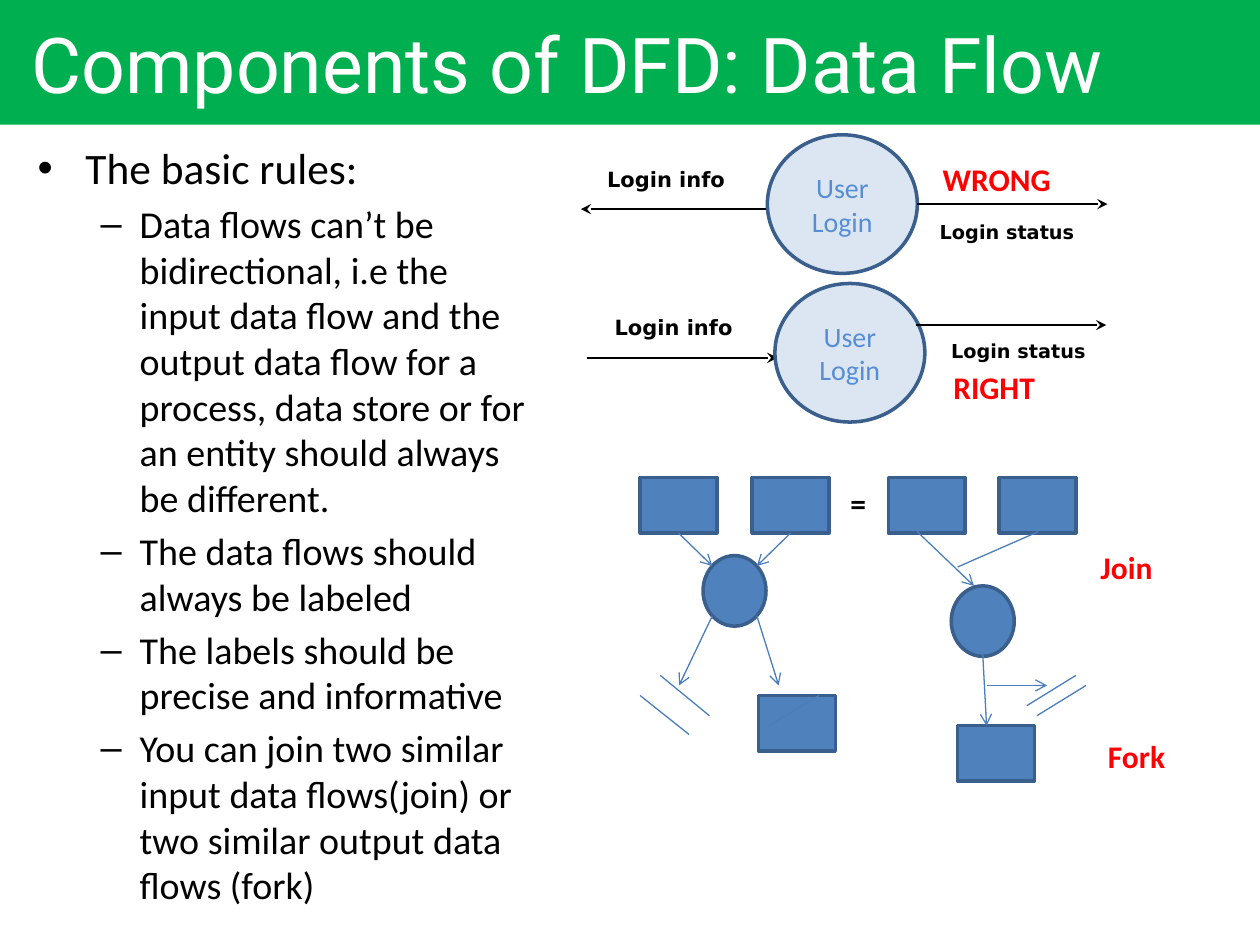
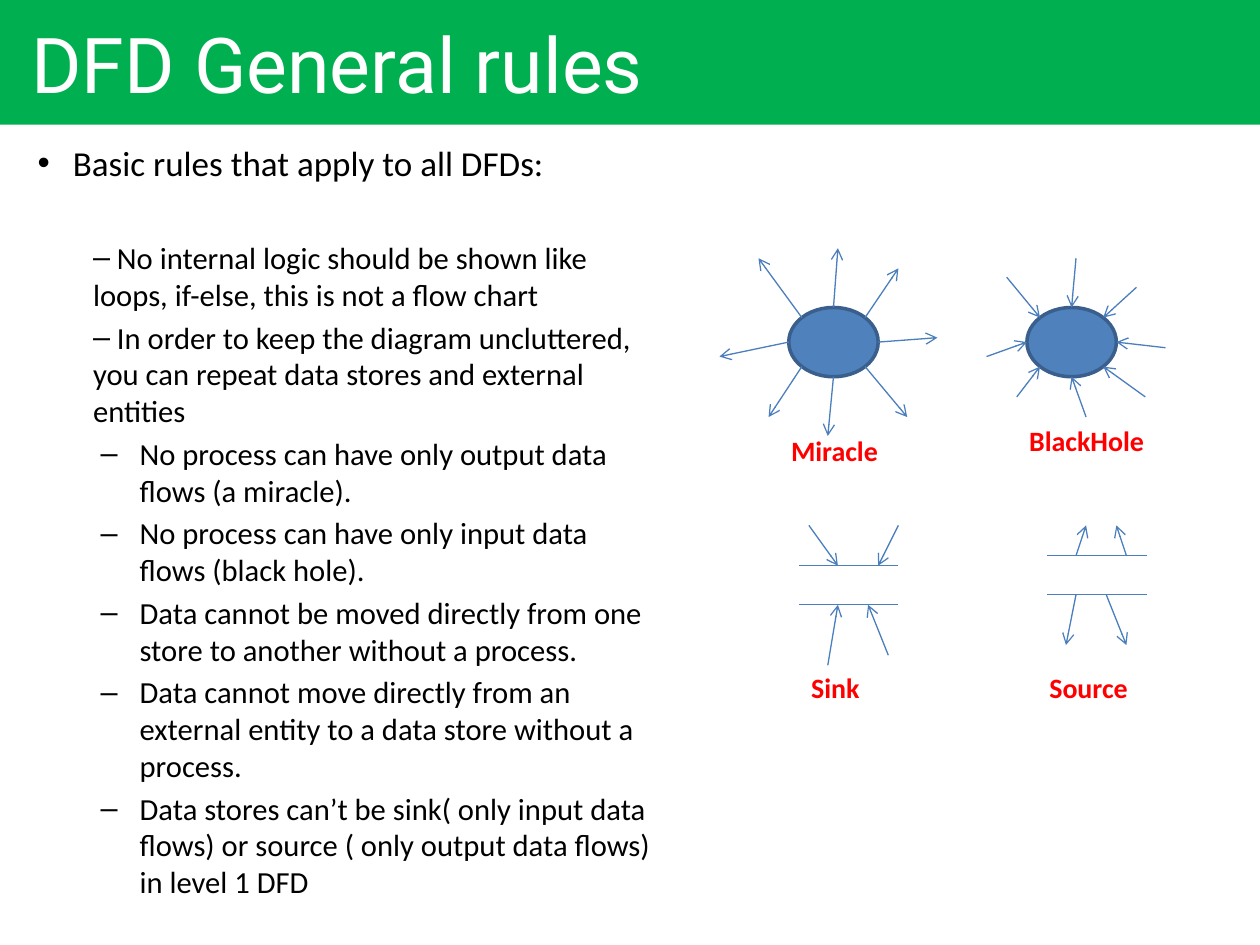
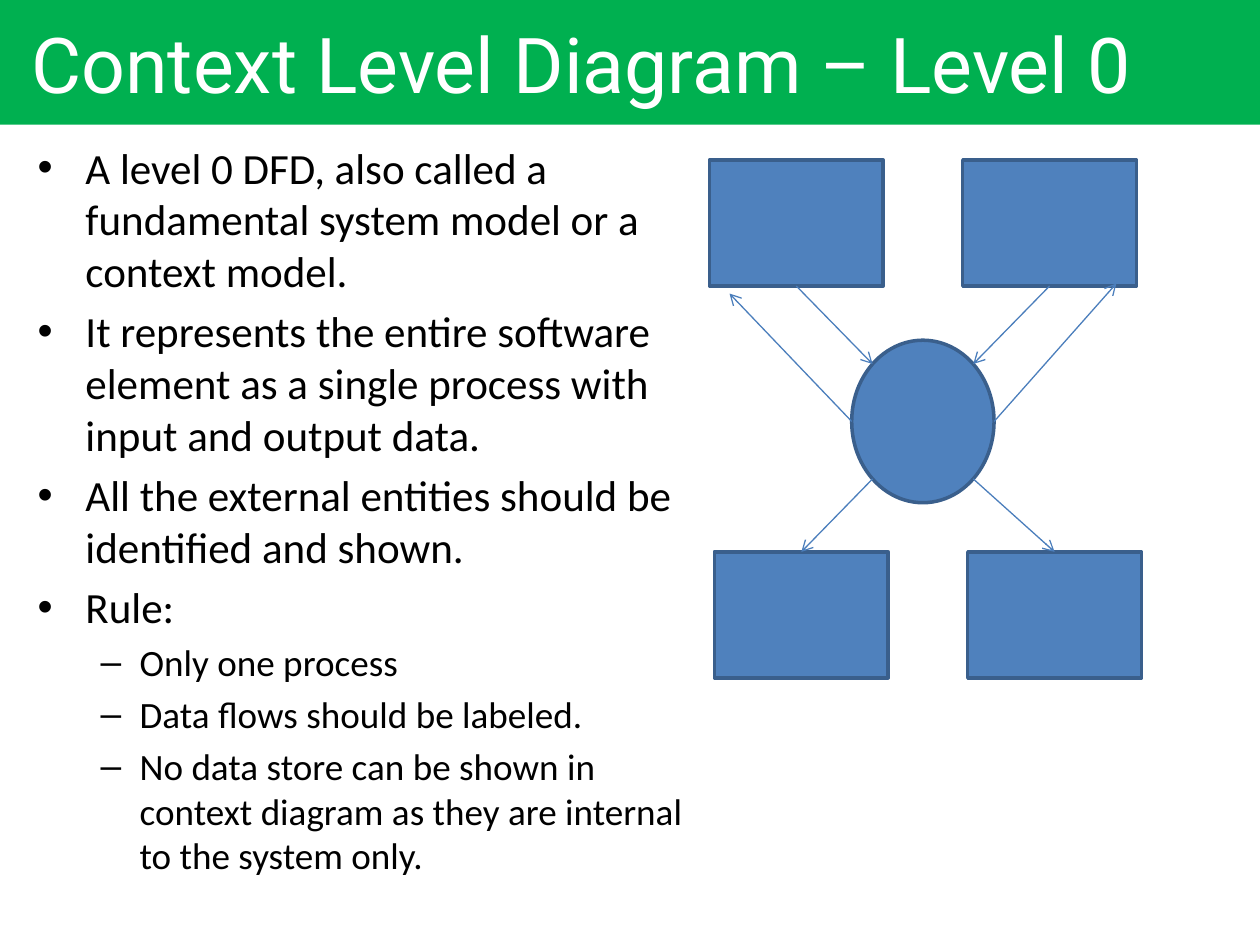
import math

import lxml.etree
import pptx
import pptx.dml.color
import pptx.enum.shapes
import pptx.enum.text
import pptx.oxml.ns
import pptx.util

Inches = pptx.util.Inches
SHAPE = pptx.enum.shapes.MSO_SHAPE
ALIGN = pptx.enum.text.PP_ALIGN
ANCHOR = pptx.enum.text.MSO_ANCHOR

GREEN, WHITE, BLACK, RED = "00B050", "FFFFFF", "000000", "FF0000"
BLUE, OUTLINE, FLOW, PALE, PALE_TEXT = "4F81BD", "3A5F8C", "4B7EBC", "DCE6F2", "558ED5"
BODY_FONT = "Calibri"

# Paragraph styles: bullet, left margin, first-line indent
STYLES = {
    "point": ("•", 0.38, -0.38),
    "tight": ("•", 0.28, -0.28),
    "dash": ("–", 0.81, -0.31),
    "flush": ("–", 0.44, 0),
}

RULES = {
    "title": "Components of DFD: Data Flow",
    "box": (0.2, 1.07, 4.09, 6.22),
    "sizes": (24.8, 21.7),
    "body": [
        ("point", "The basic rules:"),
        ("dash", "Data flows can’t be bidirectional, i.e the input data flow and the output "
                 "data flow for a process, data store or for an entity should always be different."),
        ("dash", "The data flows should always be labeled"),
        ("dash", "The labels should be precise and informative"),
        ("dash", "You can join two similar input data flows(join) or two similar output "
                 "data flows (fork)"),
    ],
}
GENERAL = {
    "title": "DFD General rules",
    "box": (0.2, 1.07, 5.12, 5.51),
    "sizes": (20, 17.5),
    "gap_after_first": 32,
    "body": [
        ("tight", "Basic rules that apply to all DFDs:"),
        ("flush", " No internal logic should be shown like loops, if-else, this is not a flow chart"),
        ("flush", " In order to keep the diagram uncluttered, you can repeat data stores and "
                  "external entities"),
        ("dash", "No process can have only output data flows (a miracle)."),
        ("dash", "No process can have only input data flows (black hole)."),
        ("dash", "Data cannot be moved directly from one store to another without a process."),
        ("dash", "Data cannot move directly from an external entity to a data store without "
                 "a process."),
        ("dash", "Data stores can’t be sink( only input data flows) or source ( only output "
                 "data flows) in level 1 DFD"),
    ],
}
CONTEXT = {
    "title": "Context Level Diagram – Level 0",
    "box": (0.2, 1.07, 5.35, 5.51),
    "sizes": (24.6, 21.2),
    "body": [
        ("point", "A level 0 DFD, also called a fundamental system model or a context model."),
        ("point", "It represents the entire software element as a single process with input "
                  "and output data."),
        ("point", "All the external entities should be identified and shown."),
        ("point", "Rule:"),
        ("dash", "Only one process"),
        ("dash", "Data flows should be labeled."),
        ("dash", "No data store can be shown in context diagram as they are internal to the "
                 "system only."),
    ],
}

# Login examples: input flow, its label, process, output flow, its label, verdict
LOGINS = [
    (((6.11, 1.66), (4.61, 1.66)), (4.72, 1.27), (6.09, 1.07),
     ((7.28, 1.62), (8.79, 1.62)), (7.36, 1.7), ("WRONG", 7.2, 1.22)),
    (((4.66, 2.84), (6.17, 2.84)), (4.78, 2.45), (6.15, 2.25),
     ((7.27, 2.58), (8.78, 2.58)), (7.45, 2.64), ("RIGHT", 7.18, 2.87)),
]
ENTITY = (0.61, 0.44)
ENTITIES = [(5.08, 3.79), (5.97, 3.79), (7.05, 3.79), (7.93, 3.79), (6.02, 5.52), (7.6, 5.76)]
JOIN_FLOWS = [((7.28, 4.22), (7.73, 4.65)), ((7.8, 5.2), (7.83, 5.76)), ((7.83, 5.44), (8.31, 5.44))]
JOIN_LINES = [
    ((8.24, 4.22), (7.6, 4.5)),
    ((5.24, 5.36), (5.63, 5.68)), ((5.08, 5.52), (5.47, 5.83)), ((6.5, 5.52), (6.1, 5.76)),
    ((8.54, 5.36), (8.15, 5.6)), ((8.62, 5.44), (8.23, 5.68)),
]

# Outer ends of the eight flows, clockwise from the right in steps of 45 degrees
MIRACLE_ENDS = [(7.44, 2.68), (7.2, 3.31), (6.57, 3.46), (6.1, 3.31),
                (5.71, 2.83), (6.02, 2.05), (6.65, 1.97), (7.13, 2.13)]
BLACK_HOLE_ENDS = [(9.25, 2.76), (9.09, 3.15), (8.62, 3.31), (8.07, 3.15),
                   (7.83, 2.83), (7.99, 2.2), (8.54, 2.05), (9.02, 2.28)]
STORES = [(6.34, 4.49), (6.34, 4.8), (8.31, 4.41), (8.31, 4.72)]
STORE_WIDTH = 0.79
STORE_FLOWS = [
    ((6.42, 4.17), (6.65, 4.49)), ((7.13, 4.17), (6.97, 4.49)),
    ((6.57, 5.28), (6.65, 4.8)), ((7.05, 5.2), (6.89, 4.8)),
    ((8.54, 4.41), (8.62, 4.17)), ((8.94, 4.41), (8.86, 4.17)),
    ((8.54, 4.72), (8.46, 5.12)), ((8.78, 4.72), (8.94, 5.12)),
]
FLOW_LABELS = [("Miracle", 6.18, 3.39, 0.94), ("BlackHole", 8.07, 3.31, 1.34),
               ("Sink", 6.34, 5.27, 0.94), ("Source", 8.23, 5.27, 1.34)]


def rgb(color):
    return pptx.dml.color.RGBColor.from_string(color)


def inches(values):
    return [Inches(value) for value in values]


def set_font(paragraph, size, color, name=BODY_FONT, bold=False):
    font = paragraph.font
    font.size, font.name, font.bold = pptx.util.Pt(size), name, bold
    font.color.rgb = rgb(color)


def add_element(parent, tag, **attributes):
    return lxml.etree.SubElement(parent, pptx.oxml.ns.qn(tag), **attributes)


def add_node(slide, kind, box, fill=BLUE, line=OUTLINE):
    shape = slide.shapes.add_shape(kind, *inches(box))
    shape.shadow.inherit = False
    shape.fill.solid()
    shape.fill.fore_color.rgb = rgb(fill)
    if line:
        shape.line.color.rgb = rgb(line)
        shape.line.width = pptx.util.Pt(2)
    else:
        shape.line.fill.background()
    return shape


def add_line(slide, start, end, arrow=None, color=FLOW, width=0.75):
    connector = slide.shapes.add_connector(
        pptx.enum.shapes.MSO_CONNECTOR.STRAIGHT, *inches(start + end))
    connector.line.color.rgb = rgb(color)
    connector.line.width = pptx.util.Pt(width)
    if arrow:
        add_element(connector.line._get_or_add_ln(), "a:tailEnd", type=arrow)
    add_element(connector._element.spPr, "a:effectLst")


def add_label(slide, text, box, size, color=RED, name=BODY_FONT, align=ALIGN.LEFT, wrap=True):
    text_frame = slide.shapes.add_textbox(*inches(box)).text_frame
    text_frame.word_wrap = wrap
    text_frame.text = text
    paragraph = text_frame.paragraphs[0]
    paragraph.alignment = align
    set_font(paragraph, size, color, name, bold=True)


def add_body(slide, content):
    text_frame = slide.shapes.add_textbox(*inches(content["box"])).text_frame
    text_frame.word_wrap = True
    text_frame.text = "\n".join(text for _, text in content["body"])
    for index, (style, _) in enumerate(content["body"]):
        paragraph = text_frame.paragraphs[index]
        bullet, margin, indent = STYLES[style]
        paragraph.level = 0 if bullet == "•" else 1
        size = content["sizes"][paragraph.level]
        if index:
            gap = content.get("gap_after_first") if index == 1 else None
            paragraph.space_before = pptx.util.Pt(gap or 0.2 * size)
        properties = paragraph._p.get_or_add_pPr()
        properties.set("marL", str(Inches(margin)))
        properties.set("indent", str(Inches(indent)))
        add_element(properties, "a:buFont", typeface="Arial")
        add_element(properties, "a:buChar", char=bullet)
        set_font(paragraph, size, BLACK)


def add_content_slide(presentation, content):
    slide = presentation.slides.add_slide(presentation.slide_layouts[6])
    band = add_node(slide, SHAPE.RECTANGLE, (0, 0, 10, 0.99), GREEN, None)
    text_frame = band.text_frame
    text_frame.margin_left = Inches(0.25)
    text_frame.vertical_anchor = ANCHOR.MIDDLE
    text_frame.text = content["title"]
    text_frame.paragraphs[0].alignment = ALIGN.LEFT
    set_font(text_frame.paragraphs[0], 44, WHITE, "Roboto")
    add_body(slide, content)
    return slide


def rim(box, degrees):
    """Point on an ellipse, clockwise from its right end."""
    left, top, width, height = box
    angle = math.radians(degrees)
    return (left + width / 2 * (1 + math.cos(angle)), top + height / 2 * (1 + math.sin(angle)))


def bottom(box):
    left, top, width, height = box
    return (left + width / 2, top + height)


def draw_logins(slide):
    for flow_in, label_in, process, flow_out, label_out, (verdict, left, top) in LOGINS:
        add_line(slide, *flow_in, "stealth", BLACK, 1)
        add_label(slide, "Login info", label_in + (1.14, 0.3), 12, BLACK, "DejaVu Sans", wrap=False)
        node = add_node(slide, SHAPE.FLOWCHART_CONNECTOR, process + (1.19, 1.1), PALE)
        node.text_frame.vertical_anchor = ANCHOR.MIDDLE
        node.text_frame.text = "User Login"
        node.text_frame.paragraphs[0].alignment = ALIGN.CENTER
        set_font(node.text_frame.paragraphs[0], 16, PALE_TEXT)
        add_line(slide, *flow_out, "stealth", BLACK, 1)
        add_label(slide, "Login status", label_out + (1.27, 0.29), 11, BLACK, "DejaVu Sans", wrap=False)
        add_label(slide, verdict, (left, top, 1.42, 0.4), 18, align=ALIGN.CENTER)


def draw_join_and_fork(slide):
    for corner in ENTITIES:
        add_node(slide, SHAPE.RECTANGLE, corner + ENTITY)
    process = (5.58, 4.41, 0.5, 0.56)
    for box in (process, (7.55, 4.65, 0.5, 0.56)):
        add_node(slide, SHAPE.OVAL, box)
    flows = [
        (bottom(ENTITIES[0] + ENTITY), rim(process, 225)),
        (bottom(ENTITIES[1] + ENTITY), rim(process, 315)),
        (rim(process, 135), (5.39, 5.44)),
        (rim(process, 45), (6.18, 5.44)),
    ]
    for start, end in flows + JOIN_FLOWS:
        add_line(slide, start, end, "arrow")
    for start, end in JOIN_LINES:
        add_line(slide, start, end)
    add_label(slide, "=", (6.65, 3.79, 0.33, 0.4), 18, BLACK, wrap=False)
    for text, left, top in (("Join", 8.23, 4.3), ("Fork", 8.31, 5.8)):
        add_label(slide, text, (left, top, 1.42, 0.4), 18, align=ALIGN.CENTER)


def draw_forbidden_flows(slide):
    for left, ends, outward in ((6.26, MIRACLE_ENDS, True), (8.15, BLACK_HOLE_ENDS, False)):
        process = (left, 2.44, 0.71, 0.55)
        add_node(slide, SHAPE.OVAL, process)
        for index, outer in enumerate(ends):
            inner = rim(process, 45 * index)
            start, end = (inner, outer) if outward else (outer, inner)
            add_line(slide, start, end, "arrow")
    for left, top in STORES:
        add_line(slide, (left, top), (left + STORE_WIDTH, top))
    for start, end in STORE_FLOWS:
        add_line(slide, start, end, "arrow")
    for text, left, top, width in FLOW_LABELS:
        add_label(slide, text, (left, top, width, 0.37), 16)


def draw_context(slide):
    entities = [(left + column * 2.01, top, 1.38, 1)
                for left, top in ((5.63, 1.27), (5.67, 4.38)) for column in range(2)]
    process = (6.76, 2.7, 1.13, 1.29)
    for box in entities:
        add_node(slide, SHAPE.RECTANGLE, box)
    add_node(slide, SHAPE.OVAL, process)
    flows = [
        (bottom(entities[0]), rim(process, 225)),
        (bottom(entities[1]), rim(process, 315)),
        (rim(process, 180), (5.79, 2.33)),
        (rim(process, 0), (8.86, 2.25)),
        (rim(process, 135), (6.36, 4.38)),
        (rim(process, 45), (8.37, 4.38)),
    ]
    for start, end in flows:
        add_line(slide, start, end, "arrow")


def main():
    presentation = pptx.Presentation()
    presentation.slide_width, presentation.slide_height = inches((10, 7.5))
    slide = add_content_slide(presentation, RULES)
    draw_logins(slide)
    draw_join_and_fork(slide)
    draw_forbidden_flows(add_content_slide(presentation, GENERAL))
    draw_context(add_content_slide(presentation, CONTEXT))
    presentation.save("out.pptx")


if __name__ == "__main__":
    main()
